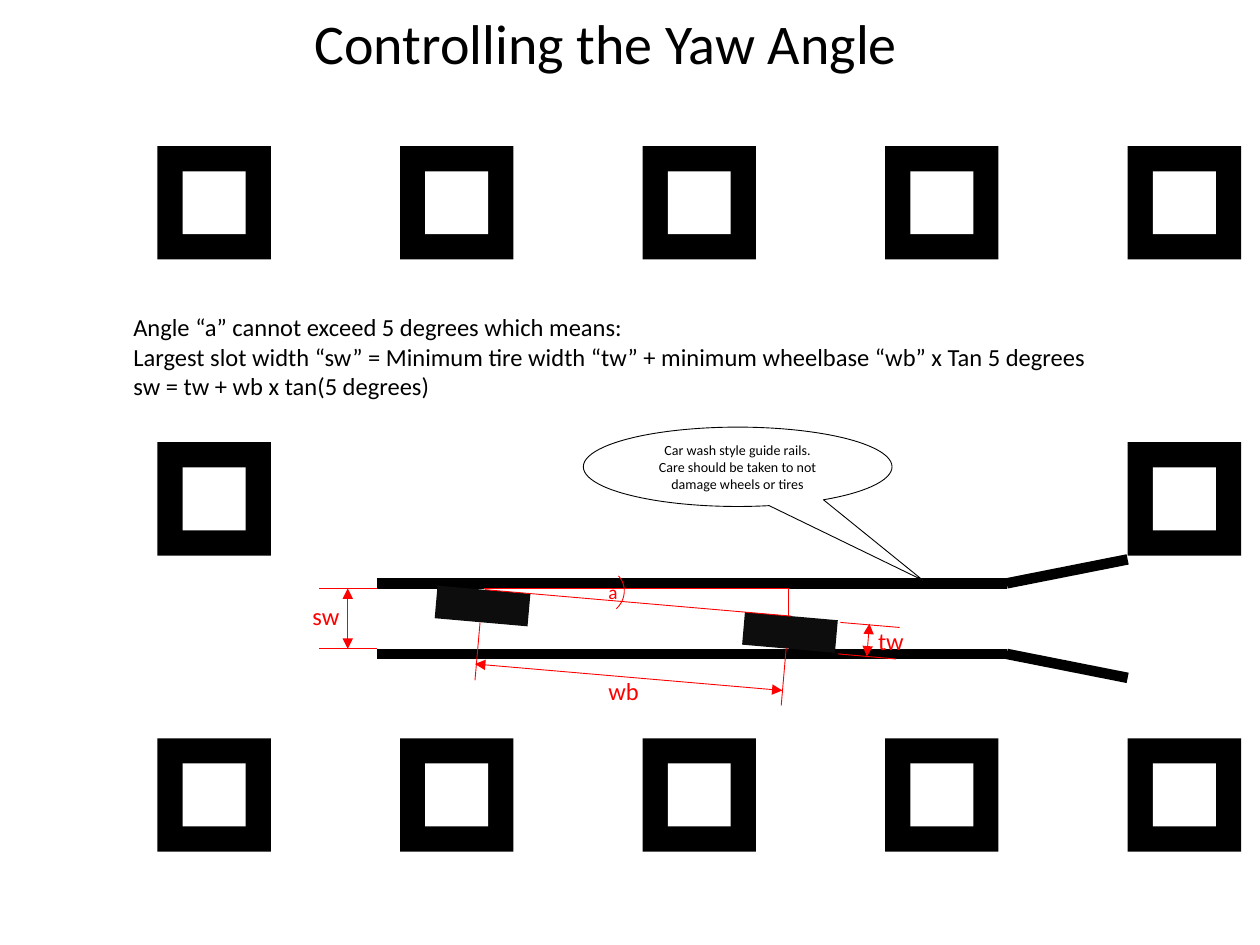
from dataclasses import dataclass

from lxml import etree
from pptx import Presentation
from pptx.dml.color import RGBColor
from pptx.enum.shapes import MSO_CONNECTOR as Connector, MSO_SHAPE as Shape
from pptx.enum.text import MSO_ANCHOR as Anchor, PP_ALIGN as Align
from pptx.oxml.ns import qn
from pptx.util import Inches, Pt


@dataclass(frozen=True)
class Theme:
    font: str = "Calibri"
    black: str = "000000"
    white: str = "FFFFFF"
    tire: str = "0D0D0D"
    dimension: str = "FF0000"
    title_size: int = 32
    body_size: int = 14
    angle_size: int = 11
    note_size: int = 8
    rail_width: float = 6
    thin_width: float = 0.5


class Diagram:
    """Holds the style and the current slide; one method per kind of element."""

    def __init__(self, slide, theme):
        self.slide, self.theme = slide, theme

    def set_text(self, holder, lines, size, color, align=Align.LEFT, **frame_format):
        frame = holder.text_frame
        for name, value in frame_format.items():
            setattr(frame, name, value)
        frame.text = "\n".join(lines)
        font_format = {"name": self.theme.font, "size": Pt(size), "bold": False}
        for paragraph in frame.paragraphs:
            paragraph.alignment = align
            for run in paragraph.runs:
                for name, value in font_format.items():
                    setattr(run.font, name, value)
                run.font.color.rgb = RGBColor.from_string(color)

    def title(self, text, box):
        title = self.slide.shapes.title
        for name, value in zip(("left", "top", "width", "height"), box):
            setattr(title, name, Inches(value))
        self.set_text(title, [text], self.theme.title_size, self.theme.black,
                      Align.CENTER, word_wrap=False, vertical_anchor=Anchor.TOP)

    def label(self, lines, box, size, color):
        label = self.slide.shapes.add_textbox(*map(Inches, box))
        self.set_text(label, lines, size, color, word_wrap=False)

    def shape(self, kind, box, fill=None, outline=None, rotation=0):
        shape = self.slide.shapes.add_shape(kind, *map(Inches, box))
        shape.shadow.inherit = False
        shape.rotation = rotation
        if fill:
            shape.fill.solid()
            shape.fill.fore_color.rgb = RGBColor.from_string(fill)
        else:
            shape.fill.background()
        if outline:
            shape.line.color.rgb = RGBColor.from_string(outline)
            shape.line.width = Pt(self.theme.thin_width)
        else:
            shape.line.fill.background()
        return shape

    def line(self, start, end, color, width, arrows=False):
        line = self.slide.shapes.add_connector(
            Connector.STRAIGHT, *map(Inches, (*start, *end)))
        line.line.color.rgb = RGBColor.from_string(color)
        line.line.width = Pt(width)
        properties = line._element.spPr
        if arrows:
            outline = properties.find(qn("a:ln"))
            for tip in ("a:headEnd", "a:tailEnd"):
                etree.SubElement(outline, qn(tip), type="triangle")
        etree.SubElement(properties, qn("a:effectLst"))

    def pillar(self, left, top, side=0.9, wall=0.2):
        core = side - 2 * wall
        self.shape(Shape.RECTANGLE, (left, top, side, side), self.theme.black)
        self.shape(Shape.RECTANGLE, (left + wall, top + wall, core, core),
                   self.theme.white)

    def callout(self, lines, box, pointer):
        bubble = self.shape(Shape.OVAL_CALLOUT, box, self.theme.white, self.theme.black)
        for index, offset in enumerate(pointer):
            bubble.adjustments[index] = offset
        self.set_text(bubble, lines, self.theme.note_size, self.theme.black,
                      Align.CENTER, word_wrap=True, vertical_anchor=Anchor.MIDDLE)


def main():
    deck = Presentation()
    deck.slide_width, deck.slide_height = Inches(10), Inches(7.5)
    theme = Theme()
    diagram = Diagram(deck.slides.add_slide(deck.slide_layouts[5]), theme)
    diagram.title("Controlling the Yaw Angle", (2.37, 0.02, 4.88, 0.64))

    # Pillars: full rows above and below, only the ends in the middle
    for row, columns in enumerate((range(5), (0, 4), range(5))):
        for column in columns:
            diagram.pillar(1.25 + 1.925 * column, 1.16 + 2.35 * row)

    # Guide rails, flared at the entry
    rail_start, rail_end, entry = 2.99, 7.99, 8.95
    for rail_y, flare_y in ((4.63, 4.44), (5.19, 5.38)):
        for start, end in (((rail_start, rail_y), (rail_end, rail_y)),
                           ((rail_end, rail_y), (entry, flare_y))):
            diagram.line(start, end, theme.black, theme.rail_width)

    # Tires, turned by the yaw angle
    for left, top in ((5.9, 4.89), (3.46, 4.68)):
        diagram.shape(Shape.RECTANGLE, (left, top, 0.74, 0.26), theme.tire, rotation=5)

    # Reference and extension lines
    guides = (
        ((3.84, 4.67), (6.26, 4.67)), ((6.26, 4.67), (6.26, 4.89)),  # yaw triangle
        ((3.85, 4.68), (6.28, 4.89)),
        ((2.99, 4.67), (2.53, 4.67)), ((2.99, 5.15), (2.53, 5.15)),  # slot width
        ((7.14, 4.98), (6.67, 4.94)), ((7.11, 5.23), (6.65, 5.19)),  # tire width
        ((3.81, 4.94), (3.77, 5.4)), ((6.24, 5.14), (6.2, 5.6)),  # wheelbase
    )
    for start, end in guides:
        diagram.line(start, end, theme.dimension, theme.thin_width)

    # Dimension arrows with their names
    dimensions = (
        ("sw", (2.76, 4.67), (2.76, 5.15), (2.38, 4.72, 0.42, 0.34)),
        ("tw", (6.9, 4.95), (6.88, 5.21), (6.87, 4.92, 0.42, 0.34)),
        ("wb", (3.77, 5.27), (6.21, 5.48), (4.73, 5.32, 0.45, 0.34)),
    )
    for name, start, end, box in dimensions:
        diagram.line(start, end, theme.dimension, theme.thin_width, arrows=True)
        diagram.label([name], box, theme.body_size, theme.dimension)

    # Yaw angle mark
    diagram.shape(Shape.ARC, (4.59, 4.51, 0.36, 0.38),
                  outline=theme.dimension, rotation=47.2)
    diagram.label(["a"], (4.73, 4.56, 0.28, 0.29), theme.angle_size, theme.dimension)

    # Explanation and rail note
    diagram.label(
        ["Angle “a” cannot exceed 5 degrees which means:",
         "Largest slot width “sw” = Minimum tire width “tw” + minimum wheelbase “wb” x Tan 5 degrees",
         "sw = tw + wb x tan(5 degrees)"],
        (0.96, 2.43, 7.83, 0.81), theme.body_size, theme.black)
    diagram.callout(
        ["Car wash style guide rails.",
         "Care should be taken to not damage wheels or tires"],
        (4.63, 3.39, 2.45, 0.63), (0.6, 1.43))

    deck.save("out.pptx")


if __name__ == "__main__":
    main()
